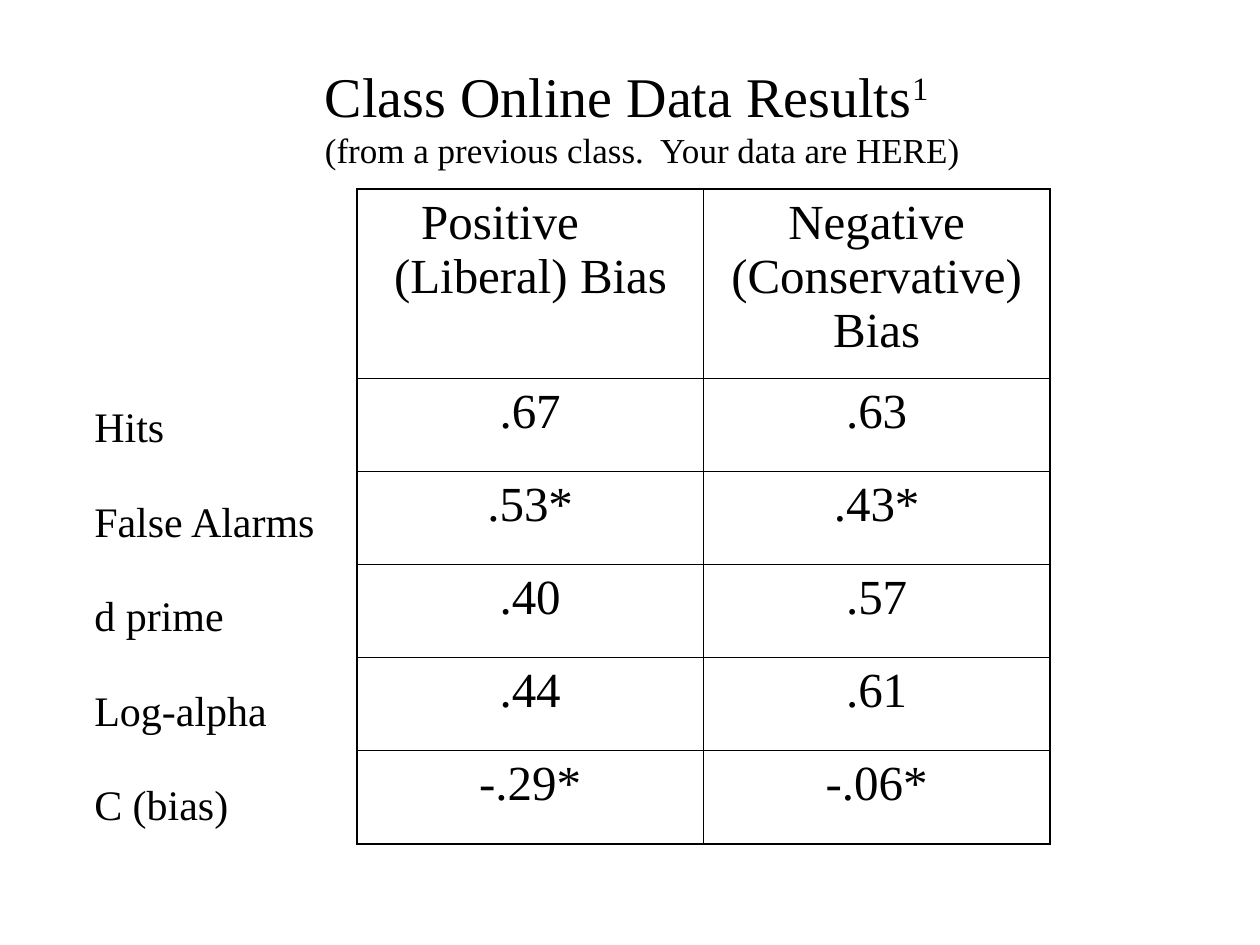
import dataclasses

import pptx
import pptx.dml.color
import pptx.enum.text
import pptx.oxml.ns
import pptx.util
from lxml import etree


@dataclasses.dataclass(frozen=True)
class Theme:
    font: str = "Times New Roman"
    ink: str = "000000"
    title: int = 32
    subtitle: int = 20
    label: int = 24
    cell: int = 28
    outer_line: float = 1.08
    inner_line: float = 0.45
    superscript: int = 30000


class SlideBuilder:
    COLUMNS = 40
    ROWS = 30

    def __init__(self, presentation, theme):
        self.theme = theme
        self.slide = presentation.slides.add_slide(presentation.slide_layouts[6])
        self.column = presentation.slide_width / self.COLUMNS
        self.row = presentation.slide_height / self.ROWS

    def across(self, columns):
        return pptx.util.Emu(round(columns * self.column))

    def down(self, rows):
        return pptx.util.Emu(round(rows * self.row))

    def style(self, paragraph, size):
        paragraph.font.name = self.theme.font
        paragraph.font.size = pptx.util.Pt(size)
        paragraph.font.color.rgb = pptx.dml.color.RGBColor.from_string(self.theme.ink)

    def text(self, left, top, width, height, lines):
        box = self.slide.shapes.add_textbox(
            self.across(left), self.down(top), self.across(width), self.down(height))
        frame = box.text_frame
        frame.word_wrap = False
        frame.auto_size = pptx.enum.text.MSO_AUTO_SIZE.SHAPE_TO_FIT_TEXT
        for index, (wording, size) in enumerate(lines):
            paragraph = frame.paragraphs[0] if index == 0 else frame.add_paragraph()
            paragraph.text = wording
            self.style(paragraph, size)
        return frame

    def superscript(self, paragraph, mark):
        run = paragraph.add_run()
        run.text = mark
        run.font._element.set("baseline", str(self.theme.superscript))

    def border(self, cell, side, width):
        line = etree.SubElement(
            cell._tc.get_or_add_tcPr(), pptx.oxml.ns.qn(f"a:ln{side}"),
            w=str(pptx.util.Pt(width)))
        fill = etree.SubElement(line, pptx.oxml.ns.qn("a:solidFill"))
        etree.SubElement(fill, pptx.oxml.ns.qn("a:srgbClr"), val=self.theme.ink)

    def table(self, left, top, widths, heights, values):
        table = self.slide.shapes.add_table(
            len(heights), len(widths), self.across(left), self.down(top),
            self.across(sum(widths)), self.down(sum(heights))).table
        table.first_row = False
        table.horz_banding = False
        for column, width in zip(table.columns, widths):
            column.width = self.across(width)
        for row, height in zip(table.rows, heights):
            row.height = self.down(height)
        for r, row_values in enumerate(values):
            for c, value in enumerate(row_values):
                cell = table.cell(r, c)
                paragraph = cell.text_frame.paragraphs[0]
                paragraph.text = value
                paragraph.alignment = pptx.enum.text.PP_ALIGN.CENTER
                self.style(paragraph, self.theme.cell)
                edges = {"L": c == 0, "R": c == len(widths) - 1,
                         "T": r == 0, "B": r == len(heights) - 1}
                for side, is_outer in edges.items():
                    self.border(cell, side, self.theme.outer_line if is_outer
                                else self.theme.inner_line)
                cell.fill.background()
        return table

    def indent(self, paragraph, margin, first_line):
        paragraph.alignment = pptx.enum.text.PP_ALIGN.LEFT
        properties = paragraph._p.get_or_add_pPr()
        properties.set("marL", str(self.across(margin)))
        properties.set("indent", str(self.across(first_line)))


RESULTS = [
    ("Positive (Liberal) Bias", "Negative (Conservative) Bias"),
    (".67", ".63"),
    (".53*", ".43*"),
    (".40", ".57"),
    (".44", ".61"),
    ("-.29*", "-.06*"),
]
MEASURES = [
    ("Hits", 3.1),
    ("False Alarms", 7.9),
    ("d prime", 5),
    ("Log-alpha", 6.4),
    ("C (bias)", 5.2),
]


def main():
    presentation = pptx.Presentation()
    presentation.slide_width = pptx.util.Inches(10)
    presentation.slide_height = pptx.util.Inches(7.5)
    theme = Theme()
    builder = SlideBuilder(presentation, theme)

    results = builder.table(11.33, 6, [11, 11], [6] + [2.96] * len(MEASURES), RESULTS)
    builder.indent(results.cell(0, 0).text_frame.paragraphs[0], 0.78, 0.86)

    heading = builder.text(9.92, 1.76, 21.12, 5.2, [
        ("Class Online Data Results", theme.title),
        ("(from a previous class.  Your data are HERE)", theme.subtitle)])
    builder.superscript(heading.paragraphs[0], "1")

    for index, (measure, width) in enumerate(MEASURES):
        builder.text(2.6, 12.52 + 3 * index, width, 2, [(measure, theme.label)])

    presentation.save("out.pptx")


if __name__ == "__main__":
    main()
